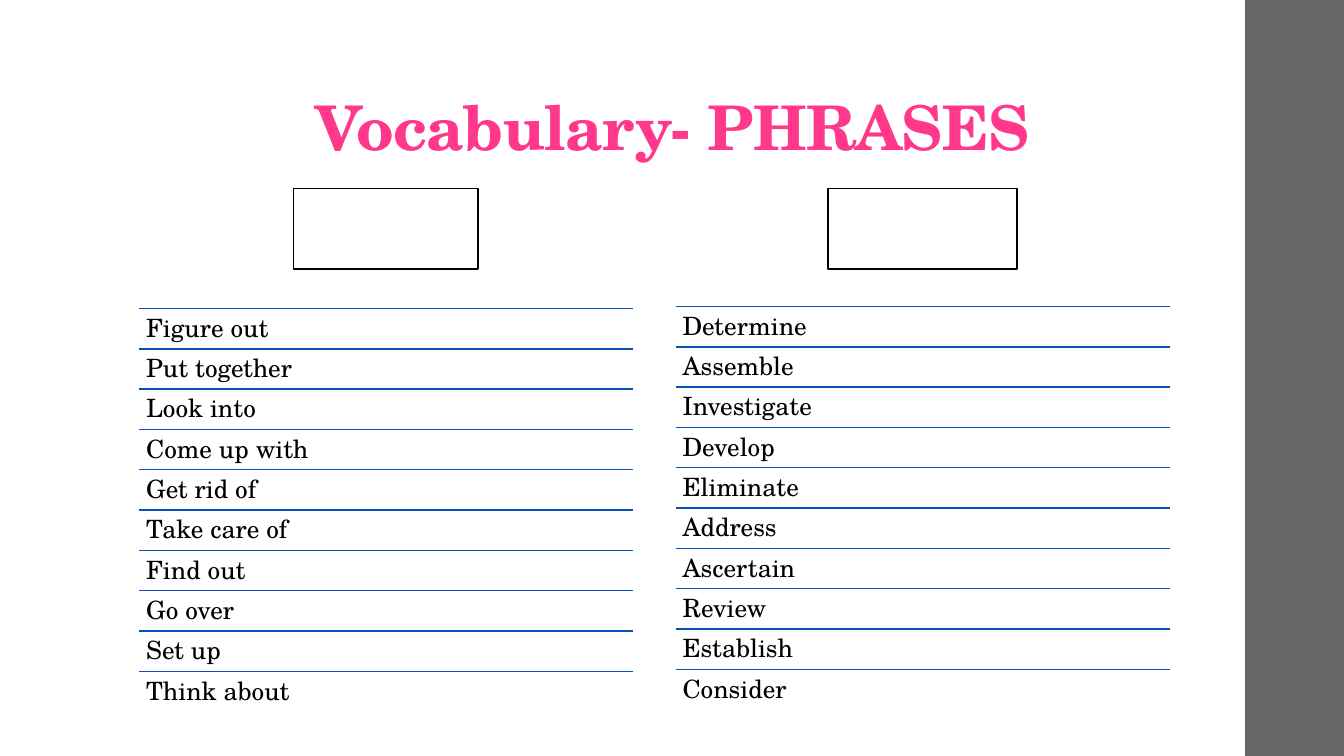
from lxml import etree
from pptx import Presentation
from pptx import util as u
from pptx.dml.color import RGBColor
from pptx.enum import shapes, text
from pptx.oxml.ns import qn

PINK = RGBColor(0xFF, 0x38, 0x8C)
BLUE = RGBColor(0x08, 0x52, 0xB7)
GREY = RGBColor(0x66, 0x66, 0x66)
BLACK = RGBColor(0, 0, 0)
WHITE = RGBColor(0xFF, 0xFF, 0xFF)
FONT = "TeX Gyre Schola"
LINE_WIDTH = u.Pt(1.1)
ROW_HEIGHT = 0.4
COLUMN_WIDTH = 4.9

EVERYDAY = ["Figure out", "Put together", "Look into", "Come up with", "Get rid of",
            "Take care of", "Find out", "Go over", "Set up", "Think about"]
TECHNICAL = ["Determine", "Assemble", "Investigate", "Develop", "Eliminate",
             "Address", "Ascertain", "Review", "Establish", "Consider"]


def inches(*lengths):
    return [u.Inches(length) for length in lengths]


def format_text(frame, size, color, insets, bold=False):
    frame.word_wrap = True
    frame.auto_size = text.MSO_AUTO_SIZE.NONE
    (frame.margin_left, frame.margin_top,
     frame.margin_right, frame.margin_bottom) = inches(*insets)
    paragraph = frame.paragraphs[0]
    paragraph.line_spacing = 0.9
    font = paragraph.runs[0].font
    font.name, font.size, font.bold = FONT, u.Pt(size), bold
    font.color.rgb = color


def add_title(slide, wording, left, top, width, height):
    title = slide.shapes.title
    title.left, title.top, title.width, title.height = inches(left, top, width, height)
    frame = title.text_frame
    frame.text = wording
    frame.vertical_anchor = text.MSO_ANCHOR.BOTTOM
    format_text(frame, 44, PINK, (0.1, 0.03, 0.1, 0.05), bold=True)
    frame.paragraphs[0].alignment = text.PP_ALIGN.CENTER
    frame.paragraphs[0].runs[0]._r.get_or_add_rPr().set("spc", "-50")


def add_box(parts, fill, left, top, width, height, outline=None):
    box = parts.add_shape(shapes.MSO_SHAPE.RECTANGLE, *inches(left, top, width, height))
    box.shadow.inherit = False
    box.fill.solid()
    box.fill.fore_color.rgb = fill
    if outline is None:
        box.line.fill.background()
    else:
        box.line.color.rgb = outline
        box.line.width = LINE_WIDTH


def add_phrase_column(slide, phrases, left, top):
    """Stack the phrases in equal rows, each under a rule."""
    parts = slide.shapes.add_group_shape().shapes
    for row, phrase in enumerate(phrases):
        y = top + row * ROW_HEIGHT
        rule = parts.add_connector(shapes.MSO_CONNECTOR.STRAIGHT,
                                   *inches(left, y, left + COLUMN_WIDTH, y))
        rule.line.color.rgb = BLUE
        rule.line.width = LINE_WIDTH
        etree.SubElement(rule._element.spPr, qn("a:effectLst"))
        entry = parts.add_textbox(*inches(left, y, COLUMN_WIDTH, ROW_HEIGHT))
        entry.text_frame.text = phrase
        format_text(entry.text_frame, 18, BLACK, (0.07,) * 4)


def main():
    deck = Presentation()
    deck.slide_width, deck.slide_height = inches(13.33, 7.5)
    slide = deck.slides.add_slide(deck.slide_layouts[5])
    add_box(slide.shapes, GREY, 12.35, 0, 0.98, 7.5)
    add_title(slide, "Vocabulary- PHRASES", 1.37, 0.23, 10.6, 1.45)
    add_phrase_column(slide, EVERYDAY, 1.38, 3.06)
    add_phrase_column(slide, TECHNICAL, 6.7, 3.04)
    for left, width in ((2.91, 1.83), (8.21, 1.88)):
        add_box(slide.shapes, WHITE, left, 1.87, width, 0.8, outline=BLACK)
    deck.save("out.pptx")


if __name__ == "__main__":
    main()
